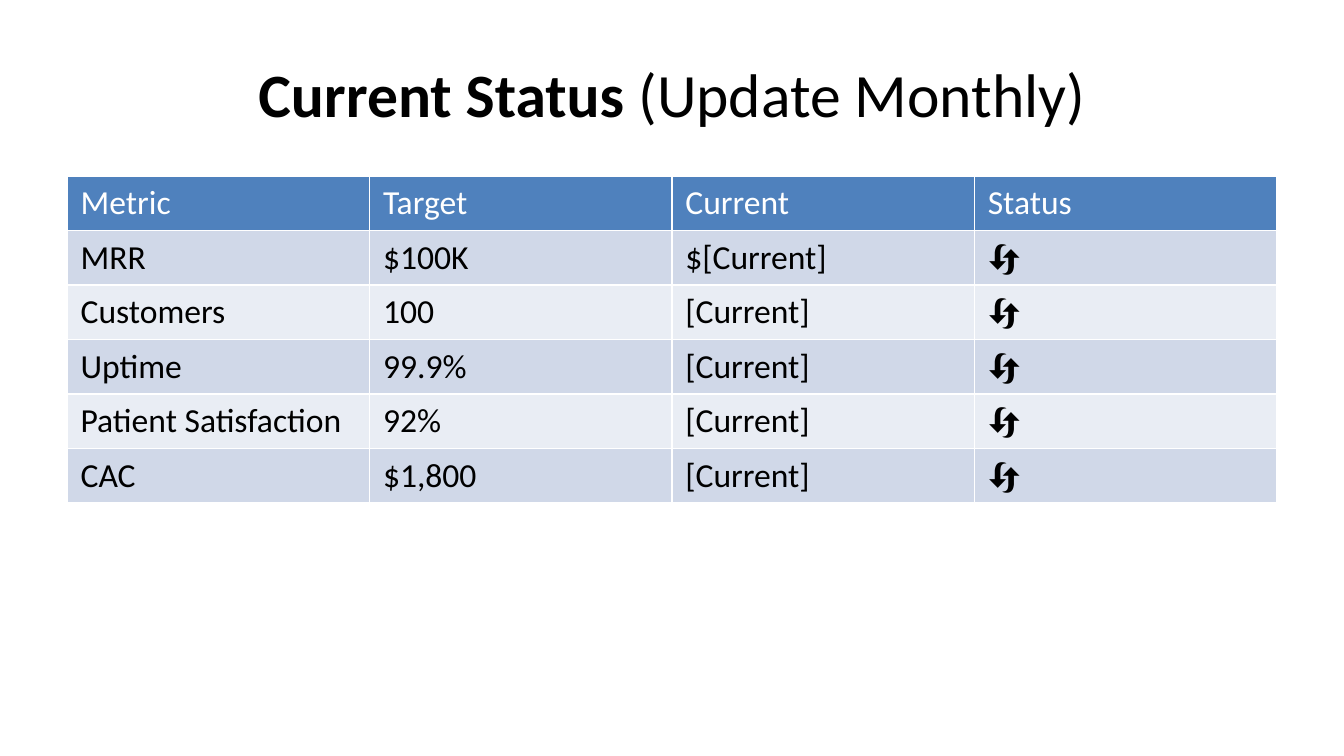
"""Build the monthly status slide with its table of metrics."""
from pptx import Presentation
from pptx.dml.color import RGBColor
from pptx.enum.text import MSO_ANCHOR, PP_ALIGN
from pptx.util import Inches, Pt

BLACK = RGBColor(0x00, 0x00, 0x00)
WHITE = RGBColor(0xFF, 0xFF, 0xFF)
HEADER_BLUE = RGBColor(0x4F, 0x81, 0xBD)
BANDS = (RGBColor(0xE9, 0xED, 0xF4), RGBColor(0xD0, 0xD8, 0xE8))

SLIDE_WIDTH = Inches(10)
SLIDE_HEIGHT = SLIDE_WIDTH * 9 // 16
MARGIN = SLIDE_WIDTH // 20
CONTENT_WIDTH = SLIDE_WIDTH - 2 * MARGIN
ROW_HEIGHT = Inches(0.4)

TITLE_FORMAT = {"name": "Calibri", "size": Pt(33)}
CELL_FORMAT = {"name": "Calibri", "size": Pt(18), "bold": False}

HEADINGS = ("Metric", "Target", "Current", "Status")
METRICS = (
    ("MRR", "$100K", "$[Current]"),
    ("Customers", "100", "[Current]"),
    ("Uptime", "99.9%", "[Current]"),
    ("Patient Satisfaction", "92%", "[Current]"),
    ("CAC", "$1,800", "[Current]"),
)
STATUS = "🔄"


def add_run(paragraph, wording, color, values):
    """Append a run formatted from a dict of font values."""
    run = paragraph.add_run()
    run.text = wording
    run.font.color.rgb = color
    for attribute, value in values.items():
        setattr(run.font, attribute, value)


def set_title(title):
    """Place the title and write its bold and regular parts."""
    place = {"left": MARGIN, "top": SLIDE_HEIGHT // 25,
             "width": CONTENT_WIDTH, "height": SLIDE_HEIGHT // 6}
    for attribute, value in place.items():
        setattr(title, attribute, value)
    title.text_frame.vertical_anchor = MSO_ANCHOR.MIDDLE
    heading = title.text_frame.paragraphs[0]
    heading.alignment = PP_ALIGN.CENTER
    for wording, bold in (("Current Status", True), (" (Update Monthly)", False)):
        add_run(heading, wording, BLACK, {**TITLE_FORMAT, "bold": bold})


def fill_cell(cell, wording, background, color):
    """Write one table cell on a solid background."""
    cell.fill.solid()
    cell.fill.fore_color.rgb = background
    add_run(cell.text_frame.paragraphs[0], wording, color, CELL_FORMAT)


def add_status_table(slide):
    """Add the header row and the banded metric rows."""
    rows = [HEADINGS] + [(*metric, STATUS) for metric in METRICS]
    status_table = slide.shapes.add_table(
        len(rows), len(HEADINGS), MARGIN, Inches(1.31),
        CONTENT_WIDTH, ROW_HEIGHT * len(rows)).table
    for row, wordings in enumerate(rows):
        background = BANDS[row % 2] if row else HEADER_BLUE
        color = BLACK if row else WHITE
        for column, wording in enumerate(wordings):
            fill_cell(status_table.cell(row, column), wording, background, color)


def main():
    """Create the slide and save the presentation."""
    presentation = Presentation()
    presentation.slide_width = SLIDE_WIDTH
    presentation.slide_height = SLIDE_HEIGHT
    slide = presentation.slides.add_slide(presentation.slide_layouts[5])
    set_title(slide.shapes.title)
    add_status_table(slide)
    presentation.save("out.pptx")


if __name__ == "__main__":
    main()
